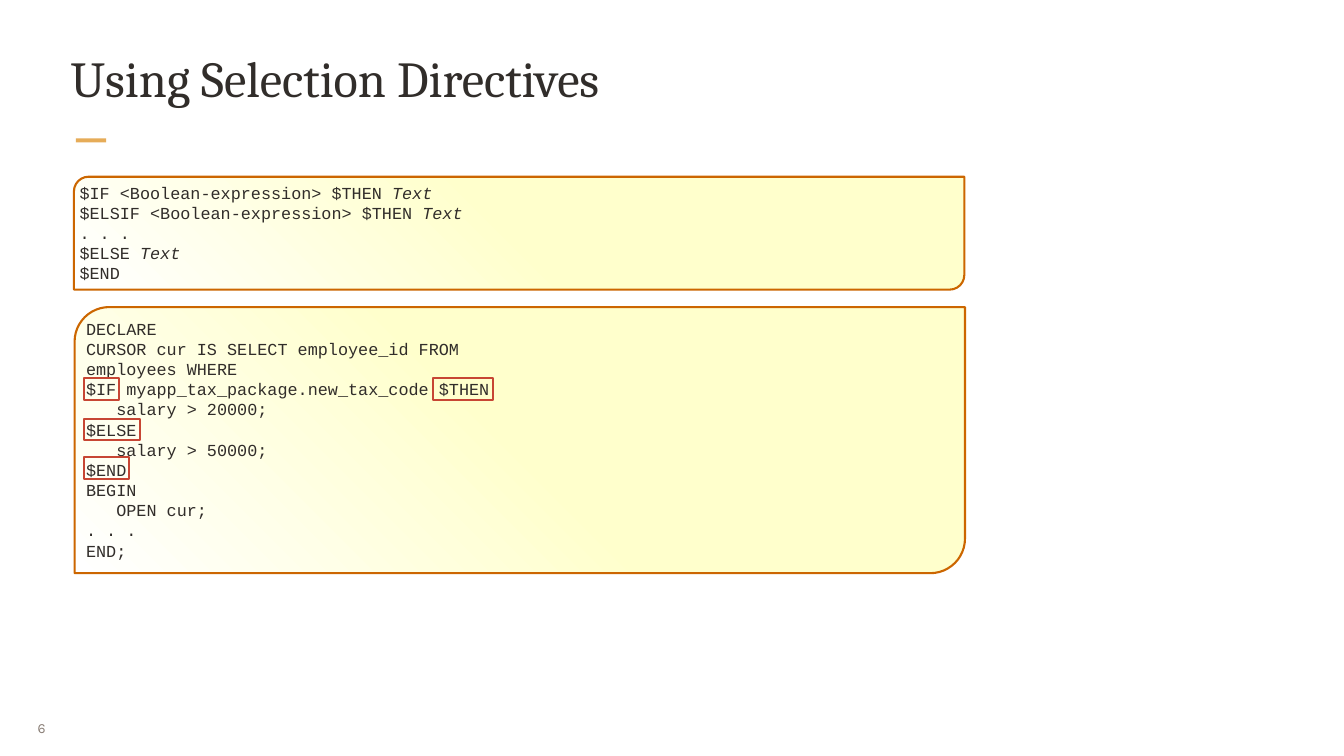
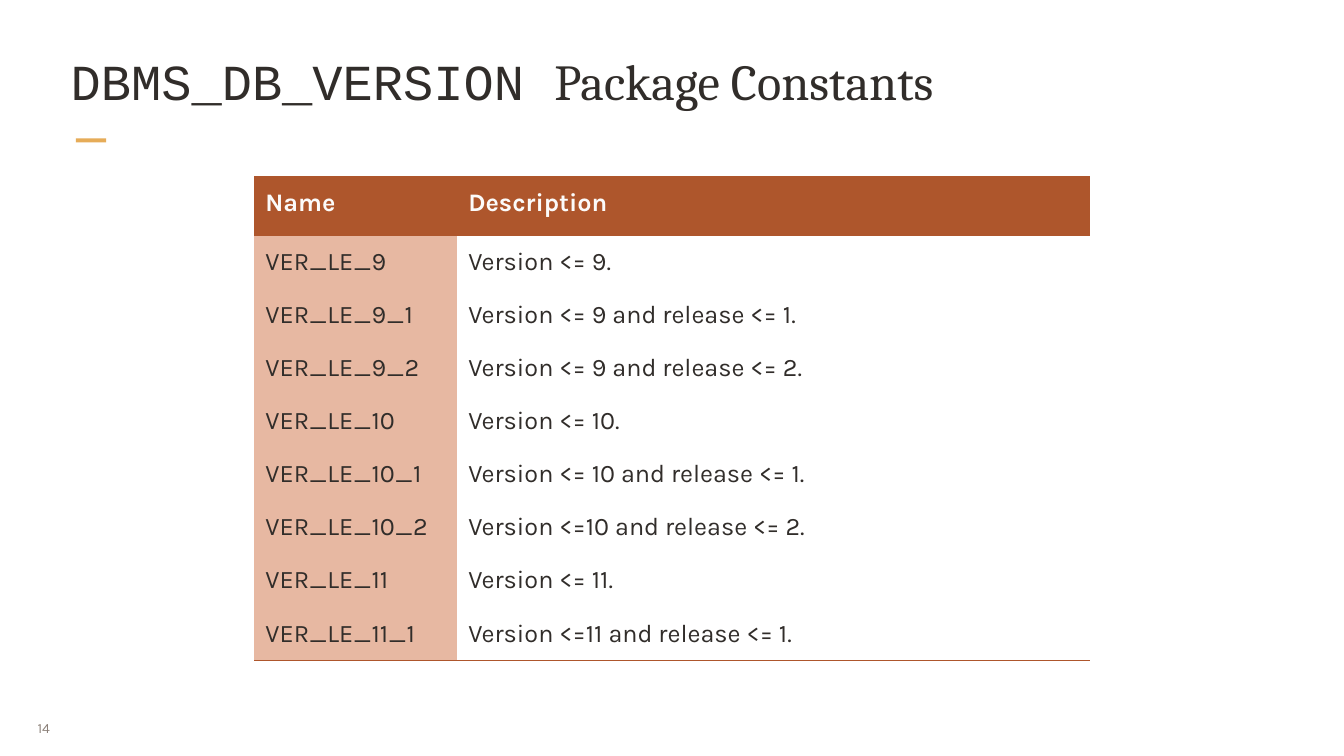
from dataclasses import dataclass
from copy import deepcopy

from lxml import etree
from pptx import Presentation
from pptx import util as u
from pptx.dml.color import RGBColor
from pptx.enum import shapes, text
from pptx.oxml.ns import qn


@dataclass(frozen=True)
class Theme:
    ink: str = "312D2A"
    muted: str = "8B8078"
    accent: str = "E6AC58"
    mark: str = "C74634"
    code_line: str = "CC6600"
    code_fill: str = "FFFFCC"
    white: str = "FFFFFF"
    header: str = "AE562C"
    header_ink: str = "FCFBFA"
    name_fill: str = "E7B8A2"
    serif: str = "Cambria"
    sans: str = "Karla"
    mono: str = "Courier New"
    title_size: float = 54
    table_size: float = 27
    code_size: float = 18
    number_size: float = 15
    line_width: float = 2.25


T = Theme()
NO_STYLE = "{2D5ABB26-0587-4C30-8999-92F81FD0307C}"

SYNTAX = [
    "$IF <Boolean-expression> $THEN |Text",
    "$ELSIF <Boolean-expression> $THEN |Text",
    ". . .",
    "$ELSE |Text",
    "$END",
]
EXAMPLE = [
    "DECLARE",
    "CURSOR cur IS SELECT employee_id FROM",
    "employees WHERE",
    "$IF myapp_tax_package.new_tax_code $THEN",
    "   salary > 20000;",
    "$ELSE",
    "   salary > 50000;",
    "$END",
    "BEGIN",
    "   OPEN cur;",
    ". . .",
    "END;",
]
KEYWORD_MARKS = [
    (0.14, 1.06, 0.52, 0.33),
    (5.34, 1.06, 0.89, 0.33),
    (0.14, 1.67, 0.83, 0.31),
    (0.14, 2.23, 0.67, 0.33),
]
CONSTANTS = [
    ("Name", "Description"),
    ("VER_LE_9", "Version <= 9."),
    ("VER_LE_9_1", "Version <= 9 and release <= 1."),
    ("VER_LE_9_2", "Version <= 9 and release <= 2."),
    ("VER_LE_10", "Version <= 10."),
    ("VER_LE_10_1", "Version <= 10 and release <= 1."),
    ("VER_LE_10_2", "Version <=10 and release <= 2."),
    ("VER_LE_11", "Version <= 11."),
    ("VER_LE_11_1", "Version <=11 and release <= 1."),
]


def rgb(value):
    return RGBColor.from_string(value)


def inches(box):
    return [u.Inches(v) for v in box]


def set_attrs(target, values):
    for name, value in values.items():
        setattr(target, name, value)


def set_margins(target, x, y):
    set_attrs(target, {
        "margin_left": u.Inches(x), "margin_right": u.Inches(x),
        "margin_top": u.Inches(y), "margin_bottom": u.Inches(y),
    })


def add_run(p, words, name, size, color=T.ink, **extra):
    r = p.add_run()
    r.text = words
    set_attrs(r.font, {"name": name, "size": u.Pt(size), **extra})
    r.font.color.rgb = rgb(color)


def add_box(s, kind, box, fill=None, line=None):
    sp = s.shapes.add_shape(kind, *inches(box))
    sp.shadow.inherit = False
    if fill:
        sp.fill.solid()
        sp.fill.fore_color.rgb = rgb(fill)
    else:
        sp.fill.background()
    if line:
        sp.line.color.rgb = rgb(line)
        sp.line.width = u.Pt(T.line_width)
    else:
        sp.line.fill.background()
    return sp


def add_frame(prs, box, title, number):
    s = prs.slides.add_slide(prs.slide_layouts[5])
    s.background.fill.solid()
    s.background.fill.fore_color.rgb = rgb(T.white)
    add_box(s, shapes.MSO_SHAPE.RECTANGLE, (1.13, 2.06, 0.45, 0.06), T.accent)

    sp = s.shapes.title
    set_attrs(sp, dict(zip(("left", "top", "width", "height"), inches(box))))
    tf = sp.text_frame
    set_attrs(tf, {"vertical_anchor": text.MSO_ANCHOR.TOP, "word_wrap": True,
                   "auto_size": text.MSO_AUTO_SIZE.NONE})
    set_margins(tf, 0.03, 0.03)
    p = tf.paragraphs[0]
    p.alignment = text.PP_ALIGN.LEFT
    for words, font in title:
        add_run(p, words, font, T.title_size)

    tf = s.shapes.add_textbox(*inches((0.43, 10.54, 0.65, 0.58))).text_frame
    set_attrs(tf, {"vertical_anchor": text.MSO_ANCHOR.MIDDLE, "word_wrap": False})
    set_margins(tf, 0.13, 0.07)
    p = tf.paragraphs[0]
    p.alignment = text.PP_ALIGN.JUSTIFY
    add_run(p, number, T.sans, T.number_size, T.muted)
    return s


def fill_gradient(sp):
    sp.fill.gradient()
    sp.fill.gradient_angle = 225
    stops = sp._element.spPr.find(qn("a:gradFill")).find(qn("a:gsLst"))
    stops.append(deepcopy(stops[0]))
    values = [(0, T.code_fill), (0.5, T.code_fill), (1, T.white)]
    for stop, (position, color) in zip(sp.fill.gradient_stops, values):
        stop.position = position
        stop.color.rgb = rgb(color)


def add_code(s, box, lines, marks=()):
    sp = add_box(s, shapes.MSO_SHAPE.ROUND_2_DIAG_RECTANGLE, box, line=T.code_line)
    sp.adjustments[0] = 0.13
    fill_gradient(sp)
    tf = sp.text_frame
    set_attrs(tf, {"vertical_anchor": text.MSO_ANCHOR.TOP, "word_wrap": True,
                   "auto_size": text.MSO_AUTO_SIZE.SHAPE_TO_FIT_TEXT})
    set_margins(tf, 0.02, 0.02)
    for i, line in enumerate(lines):
        p = tf.add_paragraph() if i else tf.paragraphs[0]
        p.alignment = text.PP_ALIGN.LEFT
        pPr = p._p.get_or_add_pPr()
        pPr.set("marL", str(u.Inches(0.75)))
        pPr.set("indent", str(u.Inches(-0.75)))
        for j, words in enumerate(line.split("|")):
            add_run(p, words, T.mono, T.code_size, italic=j == 1)
    for x, y, w, h in marks:
        add_box(s, shapes.MSO_SHAPE.RECTANGLE,
                (box[0] + x, box[1] + y, w, h), line=T.mark)


def add_borders(cell, sides):
    tcPr = cell._tc.get_or_add_tcPr()
    for i, side in enumerate(sides):
        ln = etree.Element(qn(f"a:ln{side}"), w=str(u.Pt(1)))
        fill = etree.SubElement(ln, qn("a:solidFill"))
        etree.SubElement(fill, qn("a:srgbClr"), val=T.header)
        tcPr.insert(i, ln)


def add_constants(s, box, rows, widths, header_height, row_height):
    table = s.shapes.add_table(len(rows), len(widths), *inches(box)).table
    table.horz_banding = False
    table._tbl.tblPr.find(qn("a:tableStyleId")).text = NO_STYLE
    for column, width in zip(table.columns, widths):
        column.width = u.Inches(width)
    for i, row in enumerate(rows):
        table.rows[i].height = u.Inches(row_height if i else header_height)
        for j, words in enumerate(row):
            cell = table.cell(i, j)
            set_margins(cell, 0.17, 0.17)
            fill = T.header if i == 0 else T.name_fill if j == 0 else None
            if fill:
                cell.fill.solid()
                cell.fill.fore_color.rgb = rgb(fill)
            else:
                cell.fill.background()
            add_run(cell.text_frame.paragraphs[0], words, T.sans, T.table_size,
                    T.ink if i else T.header_ink, bold=i == 0)
            if i == 0:
                add_borders(cell, "TB")
            elif i == len(rows) - 1:
                add_borders(cell, "B")


def directives_slide(prs):
    s = add_frame(prs, (1.02, 0.67, 17.96, 1.28),
                  [("Using Selection Directives", T.serif)], "6")
    add_code(s, (1.1, 2.63, 13.25, 1.68), SYNTAX)
    add_code(s, (1.11, 4.57, 13.25, 3.96), EXAMPLE, KEYWORD_MARKS)


def constants_slide(prs):
    s = add_frame(prs, (1.02, 0.72, 17.96, 1.28),
                  [("DBMS_DB_VERSION ", T.mono), ("Package Constants", T.serif)], "14")
    add_constants(s, (3.78, 2.63, 12.44, 7.18), CONSTANTS, (3.02, 9.42), 0.88, 0.79)


def main():
    prs = Presentation()
    set_attrs(prs, {"slide_width": u.Inches(20), "slide_height": u.Inches(11.25)})
    directives_slide(prs)
    constants_slide(prs)
    prs.save("out.pptx")


if __name__ == "__main__":
    main()
